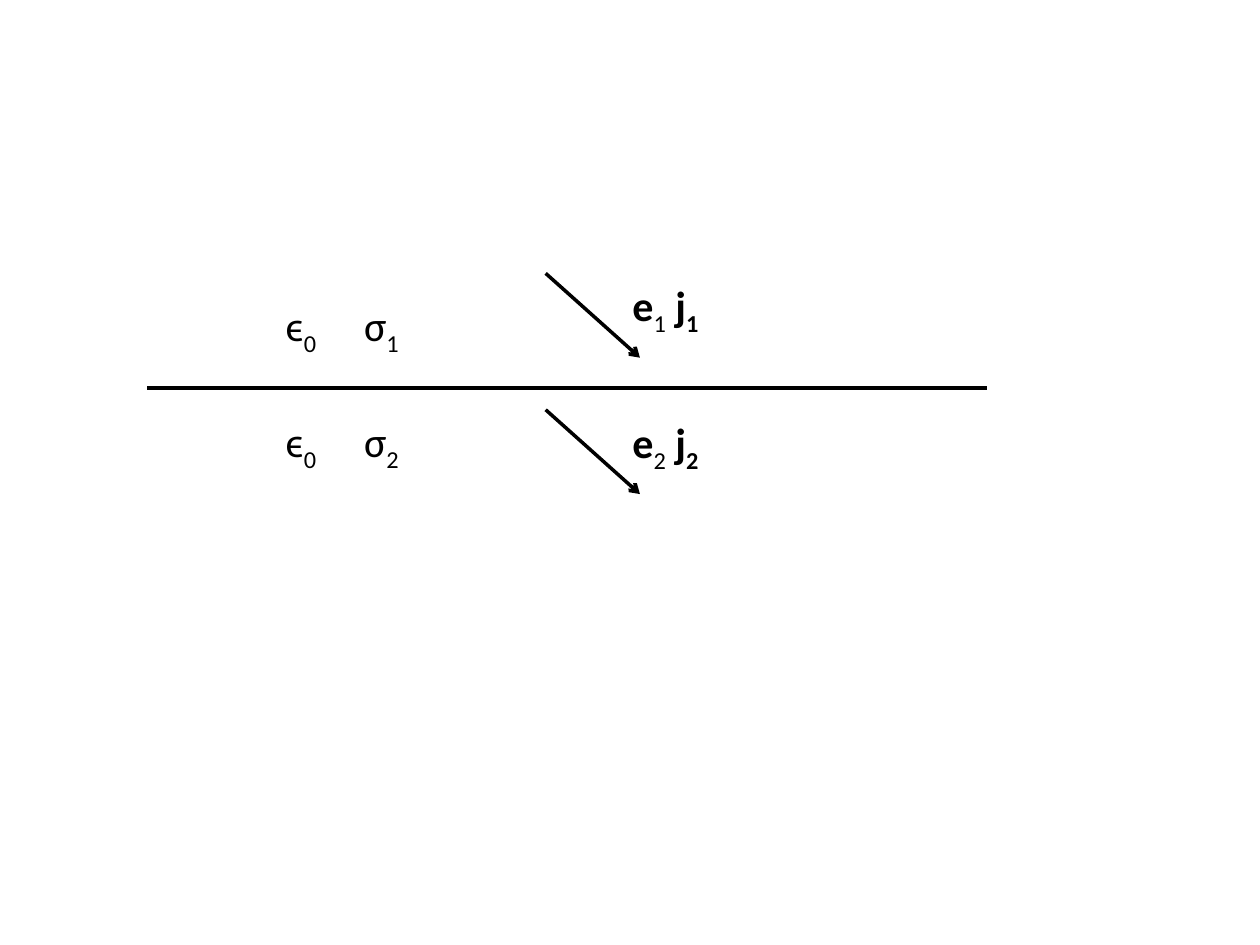
from pptx import Presentation
from pptx.dml.color import RGBColor
from pptx.enum.shapes import MSO_CONNECTOR
from pptx.enum.text import MSO_AUTO_SIZE
from pptx.oxml.ns import qn
from pptx.util import Cm, Pt
from lxml.etree import SubElement

COLORS = {"ink": "000000"}
INK = RGBColor.from_string(COLORS["ink"])

deck = Presentation()
deck.slide_width, deck.slide_height = Cm(25.4), Cm(19.05)
page = deck.slides.add_slide(deck.slide_layouts[6])


def add_line(left, top, right, bottom, arrow=False):
    line = page.shapes.add_connector(
        MSO_CONNECTOR.STRAIGHT, Cm(left), Cm(top), Cm(right), Cm(bottom))
    line.line.color.rgb = INK
    line.line.width = Pt(2)
    if arrow:
        SubElement(line.line._get_or_add_ln(), qn("a:tailEnd"), type="arrow")
    SubElement(line._element.spPr, qn("a:effectLst"))


def add_label(left, top, width, runs, wrap=False):
    box = page.shapes.add_textbox(Cm(left), Cm(top), Cm(width), Cm(1.27))
    frame = box.text_frame
    frame.word_wrap = wrap
    frame.auto_size = MSO_AUTO_SIZE.SHAPE_TO_FIT_TEXT
    for text, bold, subscript in runs:
        span = frame.paragraphs[0].add_run()
        span.text = text
        span.font.name = "Calibri"
        span.font.size = Pt(24)
        span.font.bold = bold
        span.font.color.rgb = INK
        if subscript:
            span.font._element.set("baseline", "-25000")


add_line(2.97, 7.82, 19.89, 7.82)

media = [("1", 5.92, 5.51, 5.51), ("2", 8.26, 8.26, 8.28)]
for index, symbol_top, arrow_top, field_top in media:
    add_label(5.51, symbol_top, 1.17, [("ϵ", False, False), ("0", False, True)])
    add_label(7.09, symbol_top, 1.24, [("σ", False, False), (index, False, True)])
    add_line(11, arrow_top, 12.9, arrow_top + 1.7, arrow=True)
    add_label(12.5, field_top, 2.11, [
        ("e", True, False), (index, False, True),
        (" j", True, False), (index, True, True)], wrap=True)

deck.save("out.pptx")
